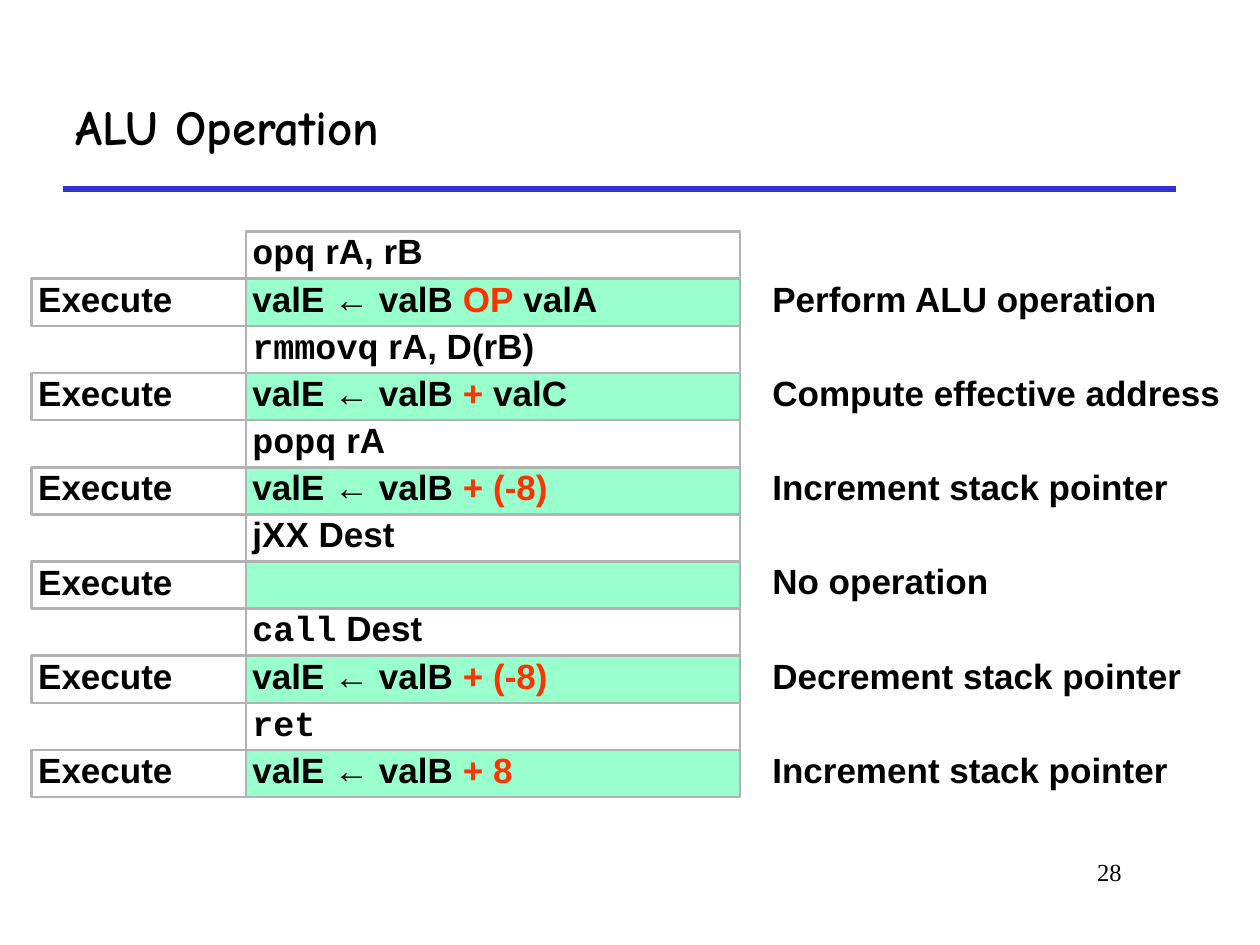
from dataclasses import dataclass

from lxml.etree import SubElement
from pptx import Presentation
from pptx.dml.color import RGBColor
from pptx.enum.shapes import MSO_CONNECTOR, MSO_SHAPE
from pptx.enum.text import MSO_ANCHOR, PP_ALIGN
from pptx.oxml.ns import qn
from pptx.util import Cm, Pt


@dataclass(frozen=True)
class Theme:
    text: str = "000000"
    accent: str = "FF3300"
    rule: str = "3333CC"
    border: str = "B2B2B2"
    stage: str = "99FFCC"
    title_font: str = "Comic Neue"
    body_font: str = "Arial"
    code_font: str = "Courier New"
    number_font: str = "Times New Roman"
    title_size: int = 28
    body_size: int = 20
    number_size: int = 14


class SlideBuilder:
    def __init__(self, slide, theme):
        self.s = slide
        self.theme = theme

    def style(self, r, font, size, color=None, bold=True):
        r.font.name = font
        r.font.size = Pt(size)
        r.font.bold = bold
        r.font.color.rgb = RGBColor.from_string(color or self.theme.text)

    def rule(self, x1, x2, y):
        line = self.s.shapes.add_connector(
            MSO_CONNECTOR.STRAIGHT, Cm(x1), Cm(y), Cm(x2), Cm(y))
        line.line.color.rgb = RGBColor.from_string(self.theme.rule)
        line.line.width = Pt(3)
        SubElement(line._element.spPr, qn("a:effectLst"))

    def label(self, x, y, w, h, text, font, size, bold=True,
              anchor=MSO_ANCHOR.TOP, align=PP_ALIGN.LEFT):
        tf = self.s.shapes.add_textbox(Cm(x), Cm(y), Cm(w), Cm(h)).text_frame
        tf.word_wrap = True
        tf.vertical_anchor = anchor
        tf.text = text
        p = tf.paragraphs[0]
        p.alignment = align
        self.style(p.runs[0], font, size, bold=bold)

    def body_text(self, sp, parts, anchor=MSO_ANCHOR.TOP):
        """Write (text, kind) parts; kind is "body", "code" or "accent"."""
        t = self.theme
        tf = sp.text_frame
        tf.word_wrap = True
        tf.vertical_anchor = anchor
        tf.margin_left = tf.margin_right = Cm(0.13)
        tf.margin_top = tf.margin_bottom = Cm(0.13)
        p = tf.paragraphs[0]
        p.alignment = PP_ALIGN.LEFT
        p.line_spacing = 0.8
        p.space_before = Pt(12.5)
        for text, kind in parts:
            r = p.add_run()
            r.text = text
            self.style(r, t.code_font if kind == "code" else t.body_font,
                       t.body_size, t.accent if kind == "accent" else t.text)

    def cell(self, x, y, w, h, parts, fill=None, anchor=MSO_ANCHOR.TOP):
        sp = self.s.shapes.add_shape(
            MSO_SHAPE.RECTANGLE, Cm(x), Cm(y), Cm(w), Cm(h))
        sp.shadow.inherit = False
        if fill:
            sp.fill.solid()
            sp.fill.fore_color.rgb = RGBColor.from_string(fill)
        else:
            sp.fill.background()
        sp.line.color.rgb = RGBColor.from_string(self.theme.border)
        sp.line.width = Pt(1.5)
        self.body_text(sp, parts, anchor)

    def note(self, x, y, w, h, text):
        sp = self.s.shapes.add_textbox(Cm(x), Cm(y), Cm(w), Cm(h))
        self.body_text(sp, [(text, "body")])


VAL_B = ("valE ← valB ", "body")

# Instruction, execute stage, comment
OPERATIONS = [
    ([("opq", "code"), (" rA, rB", "body")],
     [VAL_B, ("OP", "accent"), (" valA", "body")],
     "Perform ALU operation"),
    ([("rmmovq", "code"), (" rA, D(rB)", "body")],
     [VAL_B, ("+", "accent"), (" valC", "body")],
     "Compute effective address"),
    ([("popq", "code"), (" rA", "body")],
     [VAL_B, ("+ (-8)", "accent")],
     "Increment stack pointer"),
    ([("jXX Dest", "body")],
     [],
     "No operation"),
    ([("call", "code"), (" Dest", "body")],
     [VAL_B, ("+ (-8)", "accent")],
     "Decrement stack pointer"),
    ([("ret", "code")],
     [VAL_B, ("+ 8", "accent")],
     "Increment stack pointer"),
]

# Grid, in centimetres
TOP, ROW_H = 4.67, 0.95
STAGE_X, STAGE_W = 0.64, 4.32
CODE_X, CODE_W = STAGE_X + STAGE_W, 9.96
NOTE_X, NOTE_W = 15.44, 9.96


def main():
    prs = Presentation()
    prs.slide_width, prs.slide_height = Cm(25.4), Cm(19.05)
    theme = Theme()
    b = SlideBuilder(prs.slides.add_slide(prs.slide_layouts[6]), theme)

    # Heading and page number
    b.rule(1.27, 23.7, 3.81)
    b.label(1.27, 1.27, 22.43, 2.54, "ALU Operation", theme.title_font,
            theme.title_size, anchor=MSO_ANCHOR.MIDDLE)
    b.label(19.25, 17.15, 3.61, 1.27, "28", theme.number_font,
            theme.number_size, bold=False, align=PP_ALIGN.RIGHT)

    # Two rows for each instruction
    for i, (instruction, execute, comment) in enumerate(OPERATIONS):
        y = TOP + 2 * i * ROW_H
        stage_y = y + ROW_H
        b.cell(CODE_X, y, CODE_W, ROW_H, instruction)
        b.cell(STAGE_X, stage_y, STAGE_W, ROW_H, [("Execute", "body")],
               anchor=MSO_ANCHOR.MIDDLE)
        b.cell(CODE_X, stage_y, CODE_W, ROW_H, execute, fill=theme.stage)
        b.note(NOTE_X, stage_y, NOTE_W, ROW_H, comment)

    prs.save("out.pptx")


if __name__ == "__main__":
    main()
